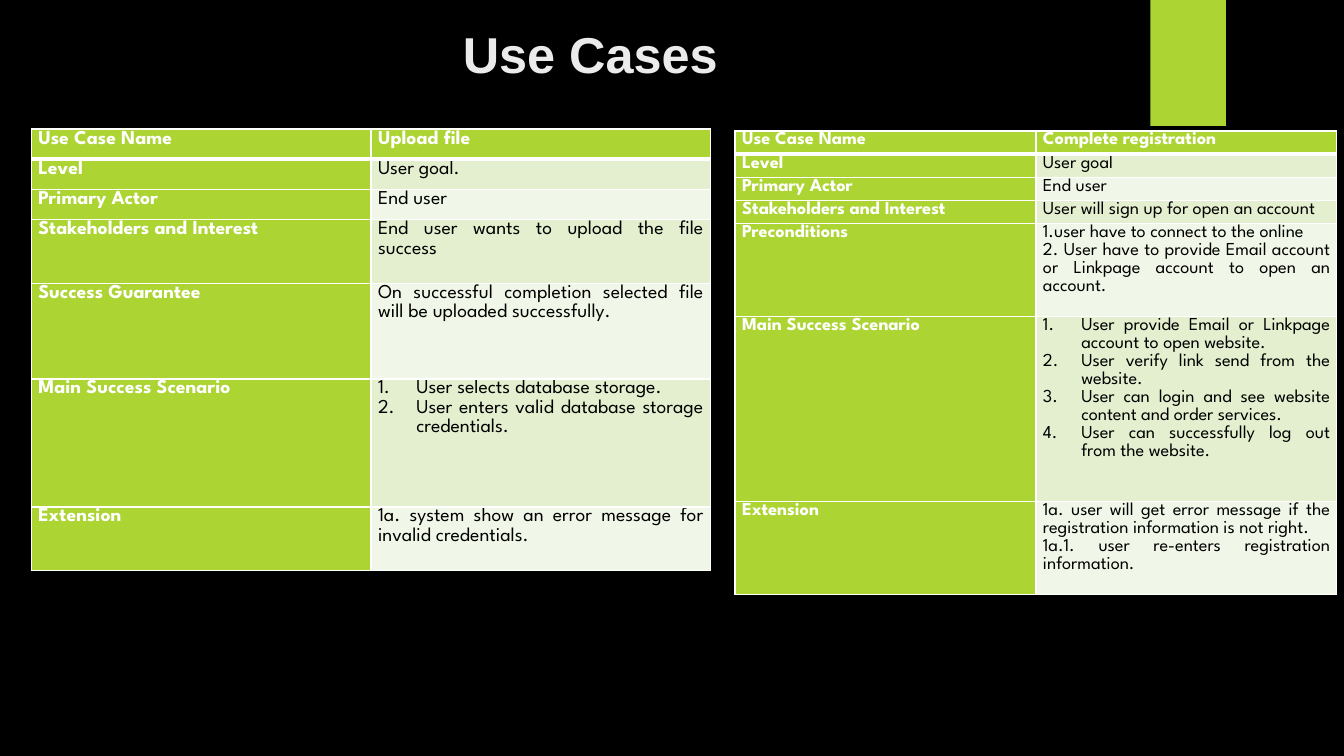
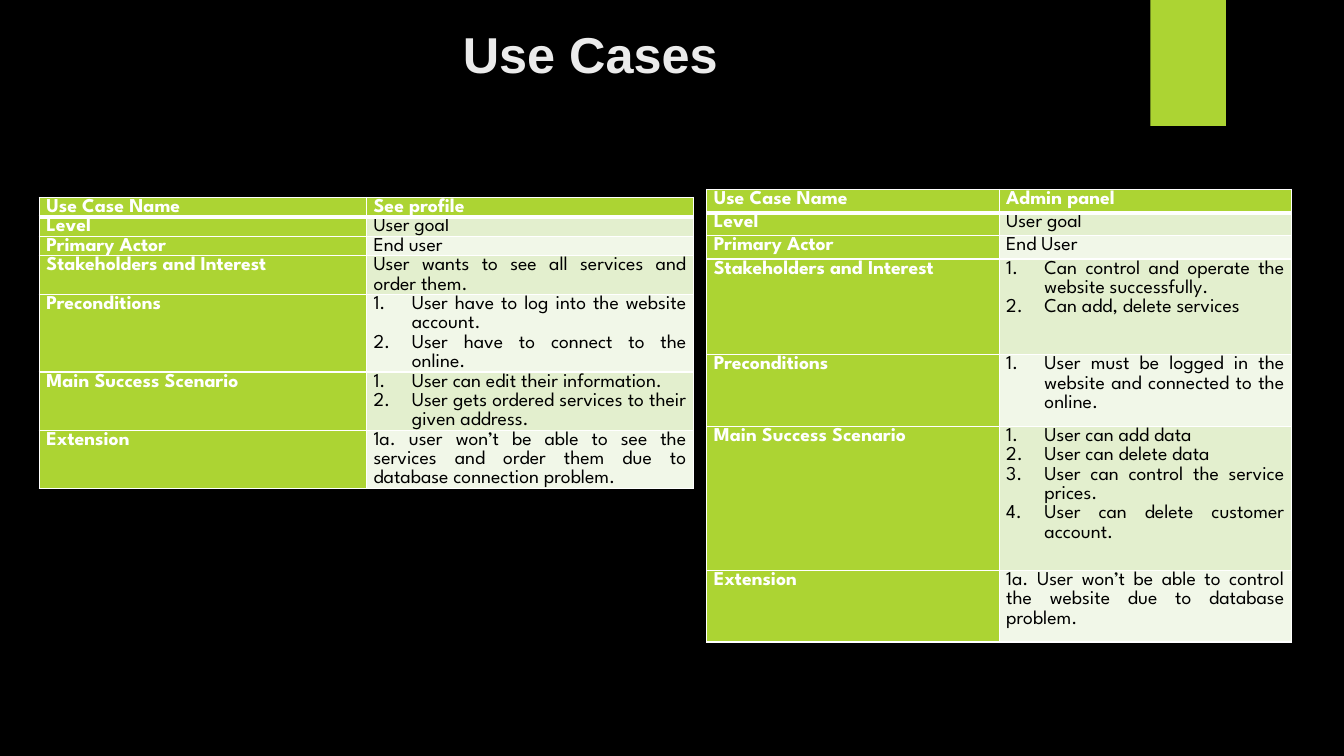
from dataclasses import dataclass

from lxml.etree import SubElement
from pptx import Presentation
from pptx.dml.color import RGBColor
from pptx.enum.shapes import MSO_SHAPE
from pptx.enum.text import MSO_ANCHOR, PP_ALIGN
from pptx.oxml.ns import qn
from pptx.util import Inches, Pt

BLACK = RGBColor(0x00, 0x00, 0x00)
WHITE = RGBColor(0xFF, 0xFF, 0xFF)
TITLE_GREY = RGBColor(0xEB, 0xEB, 0xEB)
LIME = RGBColor(0xAC, 0xD4, 0x33)
BAND_COLOURS = (RGBColor(0xF1, 0xF7, 0xE8), RGBColor(0xE3, 0xEF, 0xCE))

TITLE_FONT = "Arial"
TABLE_FONT = "League Spartan"
TEXT_LINE = 0.19
STEP_INDENT = Inches(0.38)


@dataclass
class UseCase:
    left: float
    top: float
    width: float
    font_size: int
    row_heights: list
    entries: dict


UPLOAD_FILE = UseCase(
    0.31, 1.28, 6.74, 14, [0.3, 0.3, 0.3, 0.63, 0.95, 1.27, 0.63],
    {
        "Use Case Name": "Upload file",
        "Level": "User goal.",
        "Primary Actor": "End user",
        "Stakeholders and Interest": "End user wants to upload the file success",
        "Success Guarantee": "On successful completion selected file will be uploaded successfully.",
        "Main Success Scenario": [
            "User selects database storage.",
            "User enters valid database storage credentials.",
        ],
        "Extension": "1a. system show an error message for invalid credentials.",
    },
)

REGISTRATION = UseCase(
    7.29, 1.3, 5.97, 13, [0.23, 0.23, 0.23, 0.23, 0.92, 1.84, 0.92],
    {
        "Use Case Name": "Complete registration",
        "Level": "User goal",
        "Primary Actor": "End user",
        "Stakeholders and Interest": "User will sign up for open an account",
        "Preconditions": (
            "1.user have to connect to the online\n"
            "2. User have to provide Email account or Linkpage account to open an account."
        ),
        "Main Success Scenario": [
            "User provide Email or Linkpage account to open website.",
            "User verify link send from the website.",
            "User can login and see website content and order services.",
            "User can successfully log out from the website.",
        ],
        "Extension": (
            "1a. user will get error message if the registration information is not right.\n"
            "1a.1. user re-enters registration information."
        ),
    },
)

SEE_PROFILE = UseCase(
    0.39, 1.96, 6.49, 14, [TEXT_LINE * lines for lines in (1, 1, 1, 2, 4, 3, 3)],
    {
        "Use Case Name": "See profile",
        "Level": "User goal",
        "Primary Actor": "End user",
        "Stakeholders and Interest": "User wants to see all services and order them.",
        "Preconditions": [
            "User have to log into the website account.",
            "User have to connect to the online.",
        ],
        "Main Success Scenario": [
            "User can edit their information.",
            "User gets ordered services to their given address.",
        ],
        "Extension": (
            "1a. user won’t be able to see the services and order them "
            "due to database connection problem."
        ),
    },
)

ADMIN_PANEL = UseCase(
    7.01, 1.88, 5.8, 14, [0.23, 0.23, 0.23, 0.95, 0.71, 1.43, 0.71],
    {
        "Use Case Name": "Admin panel",
        "Level": "User goal",
        "Primary Actor": "End User",
        "Stakeholders and Interest": [
            "Can control and operate the website successfully.",
            "Can add, delete services",
        ],
        "Preconditions": [
            "User must be logged in the website and connected to the online.",
        ],
        "Main Success Scenario": [
            "User can add data",
            "User can delete data",
            "User can control the service prices.",
            "User can delete customer account.",
        ],
        "Extension": "1a. User won’t be able to control the website due to database problem.",
    },
)


def style_font(font, name, size, colour, bold):
    font.name = name
    font.size = Pt(size)
    font.color.rgb = colour
    font.bold = bold


def prepare_layout(deck):
    background = deck.slide_master.background.fill
    background.solid()
    background.fore_color.rgb = BLACK
    layout = deck.slide_layouts[5]
    heading = layout.placeholders[0]
    heading.left, heading.top = Inches(4.49), Inches(0.11)
    heading.width, heading.height = Inches(3.19), Inches(0.84)
    return layout


def add_layout_band(layout, slide):
    band = slide.shapes.add_shape(
        MSO_SHAPE.RECTANGLE, Inches(11.41), 0, Inches(0.75), Inches(1.25)
    )
    band.shadow.inherit = False
    band.fill.solid()
    band.fill.fore_color.rgb = LIME
    band.line.fill.background()
    layout.shapes.element.append(band.element)


def set_title(slide, text):
    frame = slide.shapes.title.text_frame
    frame.text = text
    frame.vertical_anchor = MSO_ANCHOR.MIDDLE
    heading = frame.paragraphs[0]
    heading.alignment = PP_ALIGN.LEFT
    style_font(heading.runs[0].font, TITLE_FONT, 36, TITLE_GREY, True)


def set_borders(cell, bottom_width, top_width):
    properties = cell._tc.get_or_add_tcPr()
    for side, width in (("L", 1), ("R", 1), ("T", top_width), ("B", bottom_width)):
        border = SubElement(properties, qn(f"a:ln{side}"), w=str(Pt(width)))
        fill = SubElement(border, qn("a:solidFill"))
        SubElement(fill, qn("a:srgbClr"), val=str(WHITE))


def number_step(paragraph):
    properties = paragraph._p.get_or_add_pPr()
    properties.set("marL", str(STEP_INDENT))
    properties.set("indent", str(-STEP_INDENT))
    SubElement(properties, qn("a:buFont"), typeface="+mj-lt")
    SubElement(properties, qn("a:buAutoNum"), type="arabicPeriod")


def fill_cell(cell, content, size, row, is_label):
    highlighted = is_label or row == 0
    numbered = isinstance(content, list)
    cell.margin_left = cell.margin_right = Inches(0.07)
    cell.margin_top = cell.margin_bottom = 0
    set_borders(cell, 3 if row == 0 else 1, 3 if row == 1 else 1)
    cell.fill.solid()
    cell.fill.fore_color.rgb = LIME if highlighted else BAND_COLOURS[row % 2]
    cell.text_frame.text = "\n".join(content) if numbered else content
    for paragraph in cell.text_frame.paragraphs:
        paragraph.alignment = PP_ALIGN.JUSTIFY
        paragraph.line_spacing = 1.07
        if numbered:
            number_step(paragraph)
        for run in paragraph.runs:
            style_font(run.font, TABLE_FONT, size, WHITE if highlighted else BLACK, highlighted)


def add_use_case(slide, case):
    table = slide.shapes.add_table(
        len(case.entries), 2, Inches(case.left), Inches(case.top),
        Inches(case.width), Inches(sum(case.row_heights)),
    ).table
    for row, (label, content) in enumerate(case.entries.items()):
        table.rows[row].height = Inches(case.row_heights[row])
        fill_cell(table.cell(row, 0), label, case.font_size, row, True)
        fill_cell(table.cell(row, 1), content, case.font_size, row, False)


def main():
    deck = Presentation()
    deck.slide_width, deck.slide_height = Inches(13.33), Inches(7.5)
    layout = prepare_layout(deck)
    for cases in ((UPLOAD_FILE, REGISTRATION), (SEE_PROFILE, ADMIN_PANEL)):
        slide = deck.slides.add_slide(layout)
        set_title(slide, "Use Cases")
        for case in cases:
            add_use_case(slide, case)
    add_layout_band(layout, deck.slides[0])
    deck.save("out.pptx")


if __name__ == "__main__":
    main()
